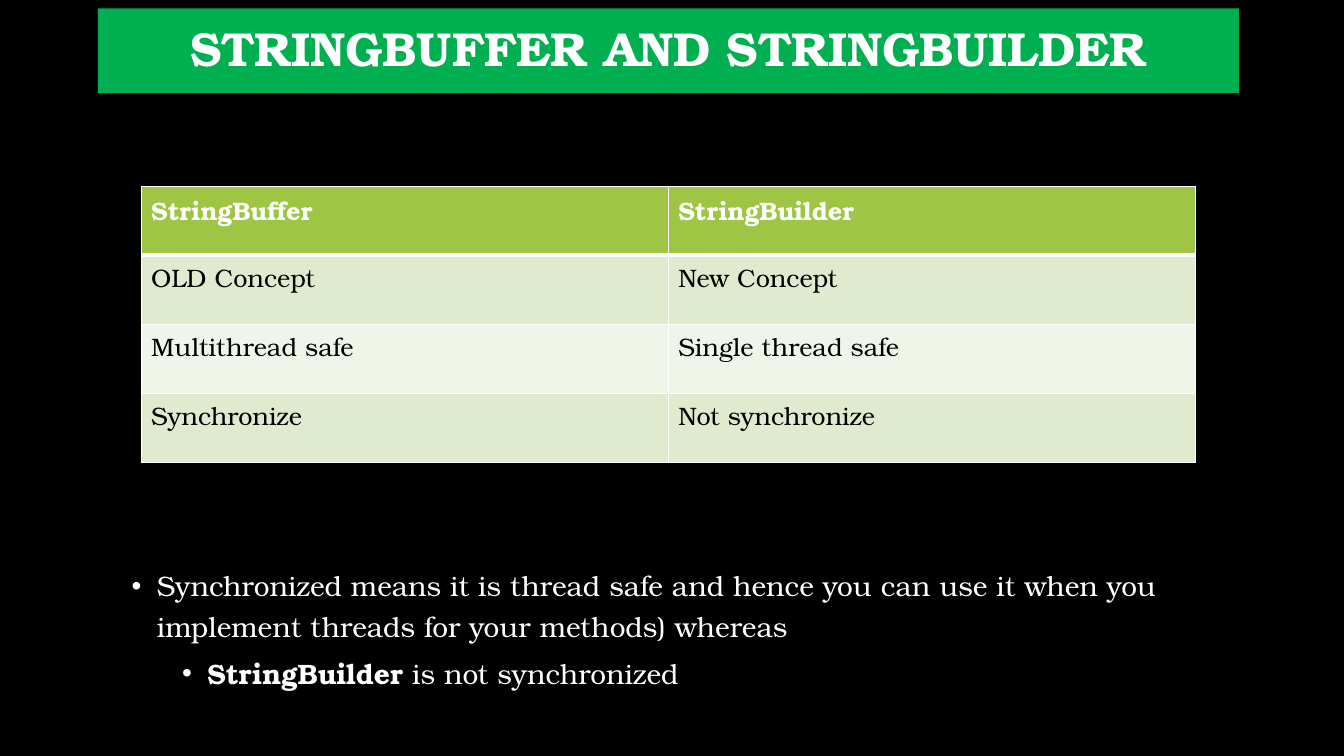
from lxml.etree import SubElement
from pptx import Presentation
from pptx.dml.color import RGBColor
from pptx.enum.shapes import MSO_SHAPE
from pptx.enum.text import MSO_ANCHOR, PP_ALIGN
from pptx.oxml.ns import qn
from pptx.util import Pt

FONT = "TeX Gyre Bonum"
COLORS = {
    "back": "000000",
    "banner": "00B050",
    "head": "9EC544",
    "odd": "DFEACF",
    "even": "F0F5E9",
    "light": "FFFFFF",
    "dark": "000000",
}
ROWS = [
    ("StringBuffer", "StringBuilder"),
    ("OLD Concept", "New Concept"),
    ("Multithread safe", "Single thread safe"),
    ("Synchronize", "Not synchronize"),
]


def paint(fill, color):
    fill.solid()
    fill.fore_color.rgb = RGBColor.from_string(COLORS[color])


def write(para, text, size=20, color="light", bold=False):
    run = para.add_run()
    run.text = text
    run.font.name = FONT
    run.font.size = Pt(size)
    run.font.bold = bold
    run.font.color.rgb = RGBColor.from_string(COLORS[color])


def bullet(para, left, before):
    para.line_spacing = 1.2
    para.space_before = Pt(before)
    props = para._p.get_or_add_pPr()
    props.set("marL", str(Pt(left)))
    props.set("indent", str(Pt(-18)))
    font = SubElement(props, qn("a:buFont"))
    font.set("typeface", "Arial")
    SubElement(props, qn("a:buChar")).set("char", "•")


def border(cell, **widths):
    # Edges must be added in the order L, R, T, B, ahead of the fill
    props = cell._tc.get_or_add_tcPr()
    for side, width in widths.items():
        line = SubElement(props, qn("a:ln" + side), w=str(Pt(width)))
        fill = SubElement(line, qn("a:solidFill"))
        SubElement(fill, qn("a:srgbClr"), val=COLORS["light"])


def add_banner(slide, text):
    box = slide.shapes.add_shape(
        MSO_SHAPE.RECTANGLE, Pt(70), Pt(6), Pt(815), Pt(60.5))
    box.shadow.inherit = False
    paint(box.fill, "banner")
    box.line.fill.background()
    frame = box.text_frame
    frame.word_wrap = True
    frame.vertical_anchor = MSO_ANCHOR.MIDDLE
    para = frame.paragraphs[0]
    para.alignment = PP_ALIGN.CENTER
    para.line_spacing = 0.9
    write(para, text, size=34, bold=True)


def add_grid(slide, rows):
    table = slide.shapes.add_table(
        len(rows), len(rows[0]), Pt(100.8), Pt(133), Pt(753), Pt(197.2)).table
    for r, row in enumerate(rows):
        head = r == 0
        shade = "head" if head else "odd" if r % 2 else "even"
        for c, text in enumerate(row):
            cell = table.cell(r, c)
            border(cell, L=1, R=1, T=3 if r == 1 else 1, B=3 if head else 1)
            paint(cell.fill, shade)
            write(cell.text_frame.paragraphs[0], text, size=18,
                  color="light" if head else "dark", bold=head)


def add_notes(slide):
    box = slide.shapes.add_textbox(Pt(87), Pt(398), Pt(815), Pt(116))
    frame = box.text_frame
    frame.word_wrap = True
    main_point = frame.paragraphs[0]
    bullet(main_point, left=18, before=10)
    write(main_point, "Synchronized means it is thread safe and hence you can "
          "use it when you implement threads for your methods) whereas")
    sub_point = frame.add_paragraph()
    sub_point.level = 1
    bullet(sub_point, left=54, before=5)
    write(sub_point, "StringBuilder", bold=True)
    write(sub_point, " is not synchronized")


def main():
    deck = Presentation()
    deck.slide_width, deck.slide_height = Pt(960), Pt(540)
    slide = deck.slides.add_slide(deck.slide_layouts[6])
    paint(slide.background.fill, "back")

    # Title, comparison table, then explanation
    add_banner(slide, "STRINGBUFFER AND STRINGBUILDER")
    add_grid(slide, ROWS)
    add_notes(slide)
    deck.save("out.pptx")


main()
